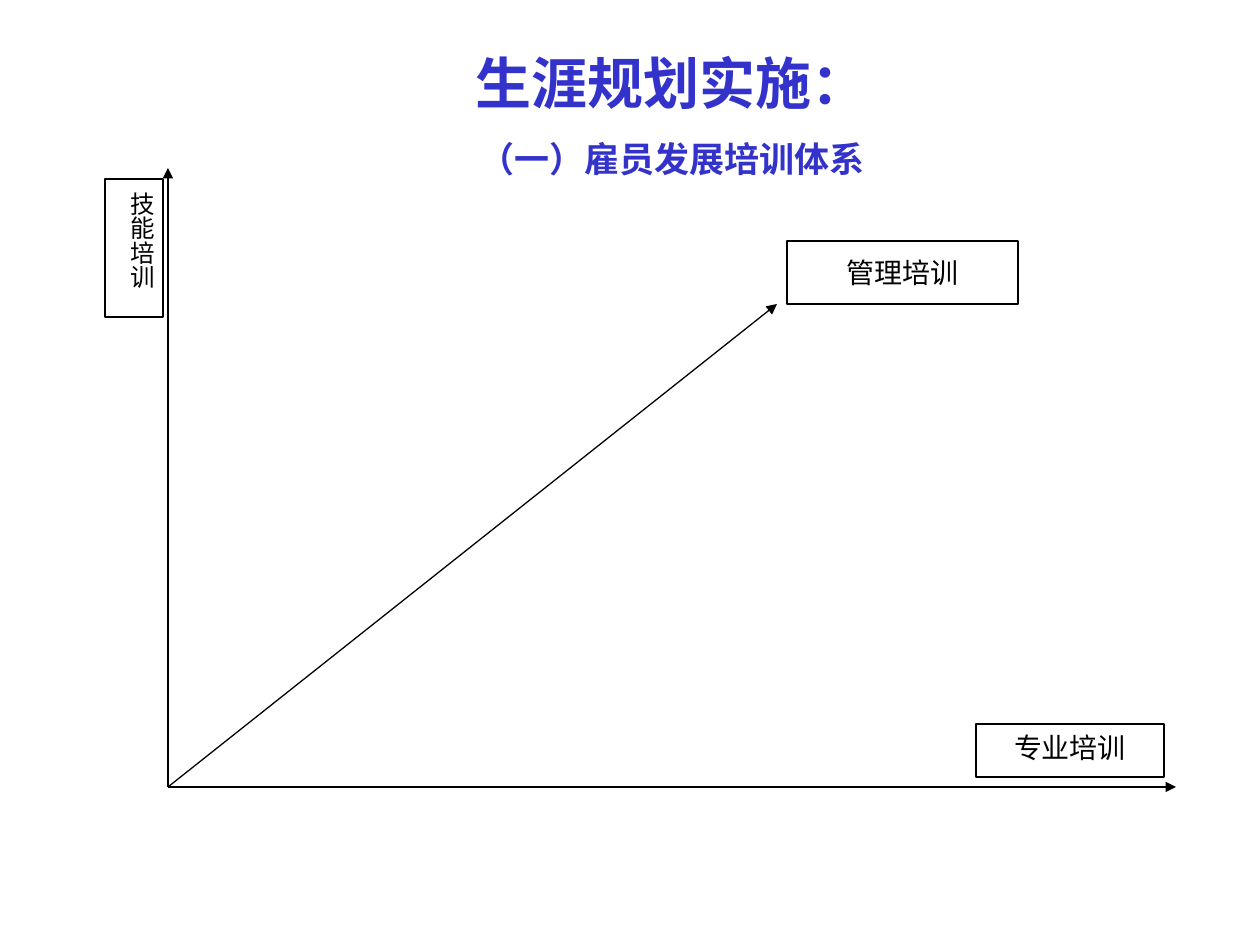
"""Build the career planning slide with its three training axes."""
from dataclasses import dataclass

from lxml.etree import SubElement
from pptx import Presentation
from pptx.dml.color import RGBColor
from pptx.enum.shapes import MSO_CONNECTOR as CONN, MSO_SHAPE as SHAPE
from pptx.enum.text import MSO_ANCHOR as ANCHOR, MSO_AUTO_SIZE as FIT, PP_ALIGN as ALIGN
from pptx.oxml.ns import qn
from pptx.util import Emu, Pt


@dataclass(frozen=True)
class Theme:
    font: str = "Times New Roman"
    title: RGBColor = RGBColor(0x33, 0x33, 0xCC)
    ink: RGBColor = RGBColor(0, 0, 0)
    paper: RGBColor = RGBColor(255, 255, 255)
    title_pt: int = 32
    subtitle_pt: int = 20
    label_pt: int = 16
    skill_pt: int = 14
    line_pt: float = 0.75


def px(n):
    return Emu(round(n * 914400 / 126))


def style(p, text, size, color, bold=False):
    p.text = text
    p.alignment = ALIGN.CENTER
    p.font.name = theme.font
    p.font.size = Pt(size)
    p.font.bold = bold
    p.font.color.rgb = color


theme = Theme()
prs = Presentation()
prs.slide_width, prs.slide_height = px(1260), px(945)
s = prs.slides.add_slide(prs.slide_layouts[6])

tf = s.shapes.add_textbox(px(273), px(42), px(798), px(144)).text_frame
tf.word_wrap = True
tf.auto_size = FIT.SHAPE_TO_FIT_TEXT
headings = [
    ("生涯规划实施：", theme.title_pt, 20),
    ("（一）雇员发展培训体系", theme.subtitle_pt, 12.5),
]
for i, (text, size, before) in enumerate(headings):
    p = tf.add_paragraph() if i else tf.paragraphs[0]
    style(p, text, size, theme.title, bold=True)
    p.space_before = Pt(before)

labels = [
    ("技能培训", 105, 179, 58, 138, theme.skill_pt, ANCHOR.TOP, True, "eaVert"),
    ("专业培训", 976, 724, 188, 53, theme.label_pt, ANCHOR.TOP, True, "horz"),
    ("管理培训", 787, 241, 231, 63, theme.label_pt, ANCHOR.MIDDLE, False, "horz"),
]
for text, x, y, w, h, size, anchor, wrap, vert in labels:
    sp = s.shapes.add_shape(SHAPE.RECTANGLE, px(x), px(y), px(w), px(h))
    sp.shadow.inherit = False
    sp.fill.solid()
    sp.fill.fore_color.rgb = theme.paper
    sp.line.color.rgb = theme.ink
    sp.line.width = Pt(theme.line_pt)
    tf = sp.text_frame
    tf.word_wrap = wrap
    tf.vertical_anchor = anchor
    if vert == "eaVert":
        tf.margin_left = tf.margin_right = Pt(3.6)
        tf.margin_top = tf.margin_bottom = Pt(7.2)
    tf._txBody.bodyPr.set("vert", vert)
    style(tf.paragraphs[0], text, size, theme.ink)

origin = (168, 787)
tips = [(168, 168), (1176, 787), (777, 304)]
for tip in tips:
    c = s.shapes.add_connector(CONN.STRAIGHT, *map(px, origin + tip))
    c.line.color.rgb = theme.ink
    c.line.width = Pt(theme.line_pt)
    SubElement(c.line._get_or_add_ln(), qn("a:tailEnd"), type="triangle")
    SubElement(c._element.spPr, qn("a:effectLst"))

prs.save("out.pptx")
